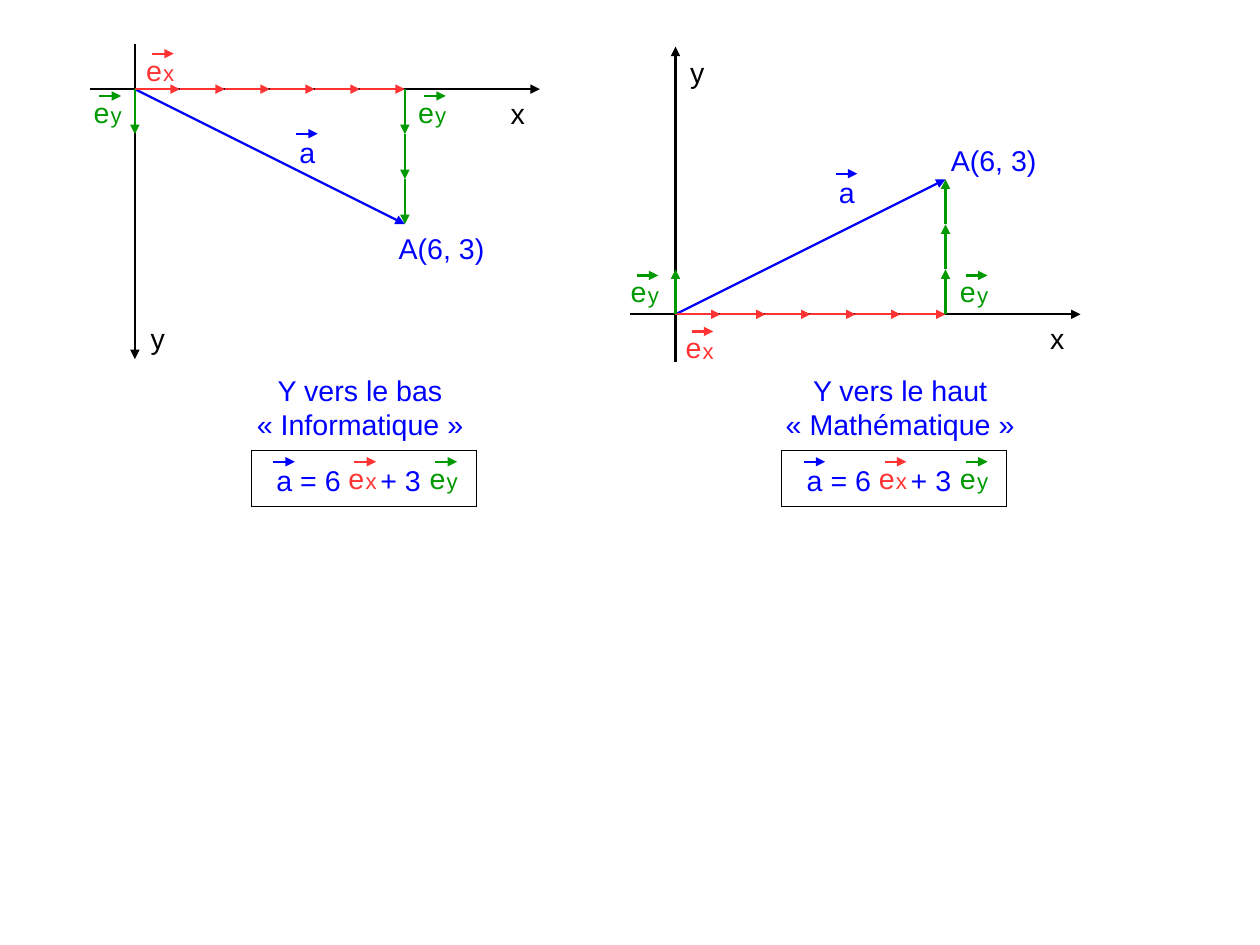
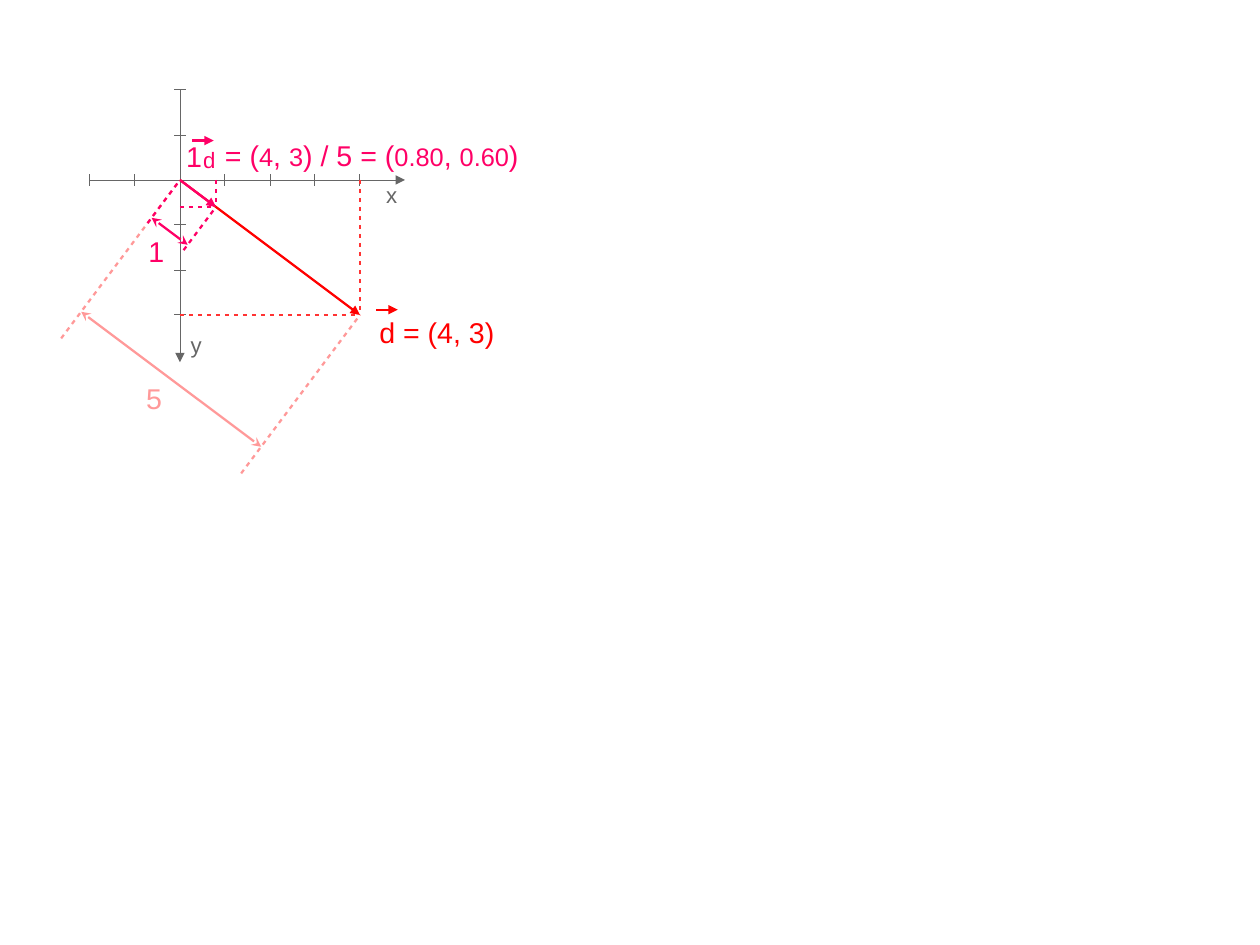
from lxml import etree
from pptx import Presentation
from pptx.dml.color import RGBColor
from pptx.enum.shapes import MSO_CONNECTOR, MSO_SHAPE
from pptx.enum.text import PP_ALIGN
from pptx.oxml.ns import qn
from pptx.util import Inches, Pt

STRAIGHT = MSO_CONNECTOR.STRAIGHT
RECTANGLE = MSO_SHAPE.RECTANGLE
CENTER, LEFT = PP_ALIGN.CENTER, PP_ALIGN.LEFT

FONT = "Arial"
BLACK, WHITE, GRAY = "000000", "FFFFFF", "666666"
BLUE, GREEN, CORAL = "0000FF", "009900", "FF3333"
RED, PINK, MAGENTA = "FF0000", "FF9999", "FF0066"

UNIT = 1 / 2.54  # one graph unit, in inches
SLIDE_UNITS = (28, 21)
LINE_WIDTH = 1.42
HAIRLINE = 0.01
DASH_PERCENT = "200000"
LARGE, MEDIUM, SMALL = 18, 16, 14
OVERARROW_LENGTH = 0.19
NO_BREAK_SPACE = chr(160)

# Ranges are in graph units, places in inches.
PANELS = [
    {
        "origin": (1.18, 0.78), "y_sign": 1, "y_range": (-1, 6),
        "labels": [("x", BLACK, 4.37, 0.79), ("y", BLACK, 1.22, 2.76),
                   ("A(6, 3)", BLUE, 3.39, 1.97)],
        "vector_label": (2.52, 1.13),
        "basis_labels": [("x", CORAL, 1.18, 0.41), ("y", GREEN, 0.72, 0.78),
                         ("y", GREEN, 3.56, 0.78)],
        "caption": ("Y vers le bas", "Informatique", 2.09, 2.12),
        "formula_left": 2.2,
    },
    {
        "origin": (5.91, 2.75), "y_sign": -1, "y_range": (-1.06, 5.95),
        "labels": [("x", BLACK, 9.09, 2.76), ("y", BLACK, 5.94, 0.43),
                   ("A(6, 3)", BLUE, 8.22, 1.2)],
        "vector_label": (7.24, 1.48),
        "basis_labels": [("x", CORAL, 5.9, 2.84), ("y", GREEN, 5.42, 2.35),
                         ("y", GREEN, 8.3, 2.35)],
        "caption": ("Y vers le haut", "Mathématique", 6.73, 2.29),
        "formula_left": 6.84,
    },
]
POINT_A = (6, 3)
CAPTION_TOP = 3.21
FORMULA_TOP = 3.94
FORMULA_BASIS = [("x", CORAL, 0.75), ("y", GREEN, 1.46)]

VECTOR_D = (4, 3)
UNIT_D = (0.8, 0.6)
UNIT_D_RUNS = [("= (", LARGE), ("4", MEDIUM), (", ", LARGE), ("3", MEDIUM),
               (") / 5 = (", LARGE), ("0.80", MEDIUM), (", ", LARGE),
               ("0.60", MEDIUM), (")", LARGE)]


def rgb(color):
    return RGBColor.from_string(color)


def add_line(shapes, start, end, color, width=LINE_WIDTH, head=None, tail=None,
             dashed=False):
    """Draw a straight line; head and tail name the ends at start and end."""
    connector = shapes.add_connector(
        STRAIGHT, *(Inches(value) for value in (*start, *end)))
    connector.line.color.rgb = rgb(color)
    connector.line.width = Pt(width)
    properties = connector._element.spPr
    outline = properties.find(qn("a:ln"))
    if dashed:
        dashes = etree.SubElement(outline, qn("a:custDash"))
        etree.SubElement(dashes, qn("a:ds"), d=DASH_PERCENT, sp=DASH_PERCENT)
    for tag, kind in (("a:headEnd", head), ("a:tailEnd", tail)):
        if kind:
            etree.SubElement(outline, qn(tag), type=kind)
    etree.SubElement(properties, qn("a:effectLst"))


def add_arrow(shapes, start, end, color, width=LINE_WIDTH):
    add_line(shapes, start, end, color, width, tail="triangle")


def add_text(shapes, runs, left, top, color, width=0.4, height=0.38,
             size=LARGE, align=LEFT, tab=None):
    """Add a one-paragraph box; runs is a string or (text, size) pairs."""
    box = shapes.add_textbox(*(Inches(v) for v in (left, top, width, height)))
    box.text_frame.word_wrap = True
    paragraph = box.text_frame.paragraphs[0]
    paragraph.alignment = align
    if tab is not None:
        tabs = etree.SubElement(paragraph._p.get_or_add_pPr(), qn("a:tabLst"))
        etree.SubElement(tabs, qn("a:tab"), pos=str(Inches(tab)), algn="l")
    for text, run_size in [(runs, size)] if isinstance(runs, str) else runs:
        run = paragraph.add_run()
        run.text = text
        run.font.name = FONT
        run.font.size = Pt(run_size)
        run.font.color.rgb = rgb(color)


def add_overarrow(shapes, left, top, color):
    add_arrow(shapes, (left, top), (left + OVERARROW_LENGTH, top), color)


def add_vector_text(shapes, text, left, top, color, rise=0.04, **options):
    """Add text whose first letter carries a vector arrow."""
    add_text(shapes, text, left, top, color, **options)
    add_overarrow(shapes, left + 0.07, top + rise, color)


def add_subscripted_vector(slide, letter, subscript, left, top, color):
    shapes = slide.shapes.add_group_shape().shapes
    add_text(shapes, subscript, left + 0.15, top + 0.06, color, size=SMALL)
    add_text(shapes, letter, left, top, color)
    add_overarrow(shapes, left + 0.15, top + 0.06, color)


def graph_mapper(origin, y_sign=1):
    """Return a function that turns graph coordinates into inches."""
    def place(x, y):
        return origin[0] + x * UNIT, origin[1] + y_sign * y * UNIT
    return place


def add_formula(slide, left):
    frame = slide.shapes.add_shape(
        RECTANGLE, *(Inches(v) for v in (left, FORMULA_TOP, 1.97, 0.49)))
    frame.shadow.inherit = False
    frame.fill.solid()
    frame.fill.fore_color.rgb = rgb(WHITE)
    frame.line.color.rgb = rgb(BLACK)
    frame.line.width = Pt(HAIRLINE)
    add_vector_text(slide.shapes, "a = 6\t+ 3", left + 0.12, FORMULA_TOP + 0.06,
                    BLUE, width=1.77, tab=0.91)
    for subscript, color, offset in FORMULA_BASIS:
        add_subscripted_vector(slide, "e", subscript, left + offset,
                               FORMULA_TOP + 0.04, color)


def add_panel(slide, panel):
    shapes = slide.shapes
    place = graph_mapper(panel["origin"], panel["y_sign"])
    y_start, y_end = panel["y_range"]
    across, up = POINT_A
    add_arrow(shapes, place(-1, 0), place(9, 0), BLACK)
    add_arrow(shapes, place(0, y_start), place(0, y_end), BLACK)
    add_arrow(shapes, place(0, 0), place(*POINT_A), BLUE)
    for step in range(across):
        add_arrow(shapes, place(step, 0), place(step + 1, 0), CORAL)
    for step in range(up):
        add_arrow(shapes, place(across, step), place(across, step + 1), GREEN)
    add_arrow(shapes, place(0, 0), place(0, 1), GREEN)

    for text, color, left, top in panel["labels"]:
        add_text(shapes, text, left, top, color, width=1)
    add_vector_text(shapes, "a", *panel["vector_label"], BLUE)
    for subscript, color, left, top in panel["basis_labels"]:
        add_subscripted_vector(slide, "e", subscript, left, top, color)
    direction, field, left, width = panel["caption"]
    quoted_field = NO_BREAK_SPACE.join(("«", field, "»"))
    add_text(shapes, f"{direction} {quoted_field}", left, CAPTION_TOP, BLUE,
             width, 0.66, align=CENTER)
    add_formula(slide, panel["formula_left"])


def add_dimension(slide, place, vector, reach, offset, color):
    """Dimension a vector from the origin, on the side of its normal."""
    shapes = slide.shapes.add_group_shape().shapes
    normal_x, normal_y = -UNIT_D[1], UNIT_D[0]

    def shifted(point, distance):
        return place(point[0] + distance * normal_x,
                     point[1] + distance * normal_y)

    for point in ((0, 0), vector):
        add_line(shapes, shifted(point, reach), place(*point), color, dashed=True)
    add_line(shapes, shifted(vector, offset), shifted((0, 0), offset), color,
             head="stealth", tail="stealth")


def add_projections(shapes, place, vector, color):
    x, y = vector
    for foot in ((x, 0), (0, y)):
        add_line(shapes, place(*foot), place(x, y), color, dashed=True)


def add_axes_with_ticks(shapes, place):
    add_arrow(shapes, place(0, -2), place(0, 4.05), GRAY, HAIRLINE)
    add_arrow(shapes, place(-2, 0), place(5, 0), GRAY, HAIRLINE)
    half = 0.13
    ticks = [((x, -half), (x, half)) for x in range(-2, 5) if x]
    ticks += [((-half, y), (half, y)) for y in range(-2, 4) if y]
    for start, end in ticks:
        add_line(shapes, place(*start), place(*end), GRAY, HAIRLINE)


def build_axis_slide(slide):
    for panel in PANELS:
        add_panel(slide, panel)


def build_unit_vector_slide(slide):
    shapes = slide.shapes
    place = graph_mapper((4 * UNIT, 4 * UNIT))
    add_dimension(slide, place, VECTOR_D, 4.4, 3.66, PINK)
    add_axes_with_ticks(shapes, place)
    add_projections(shapes, place, VECTOR_D, CORAL)
    add_projections(shapes, place, UNIT_D, MAGENTA)
    add_dimension(slide, place, UNIT_D, 1.2, 1.05, MAGENTA)
    add_arrow(shapes, place(0, 0), place(*VECTOR_D), RED)
    add_arrow(shapes, place(0, 0), place(*UNIT_D), MAGENTA)

    add_vector_text(shapes, "d = (4, 3)", 3.22, 2.71, RED, rise=0, width=1.37)
    add_subscripted_vector(slide, "1", "d", 1.53, 1.17, MAGENTA)
    add_text(shapes, UNIT_D_RUNS, 1.87, 1.16, MAGENTA, width=3.13)
    add_text(shapes, "5", 1.18, 3.28, PINK)
    add_text(shapes, "1", 1.2, 2, MAGENTA)
    add_text(shapes, "x", 3.28, 1.54, GRAY, size=SMALL)
    add_text(shapes, "y", 1.57, 2.85, GRAY, size=SMALL)


def main():
    presentation = Presentation()
    width, height = SLIDE_UNITS
    presentation.slide_width = Inches(width * UNIT)
    presentation.slide_height = Inches(height * UNIT)
    blank = presentation.slide_layouts[6]
    for build in (build_axis_slide, build_unit_vector_slide):
        build(presentation.slides.add_slide(blank))
    presentation.save("out.pptx")


if __name__ == "__main__":
    main()
